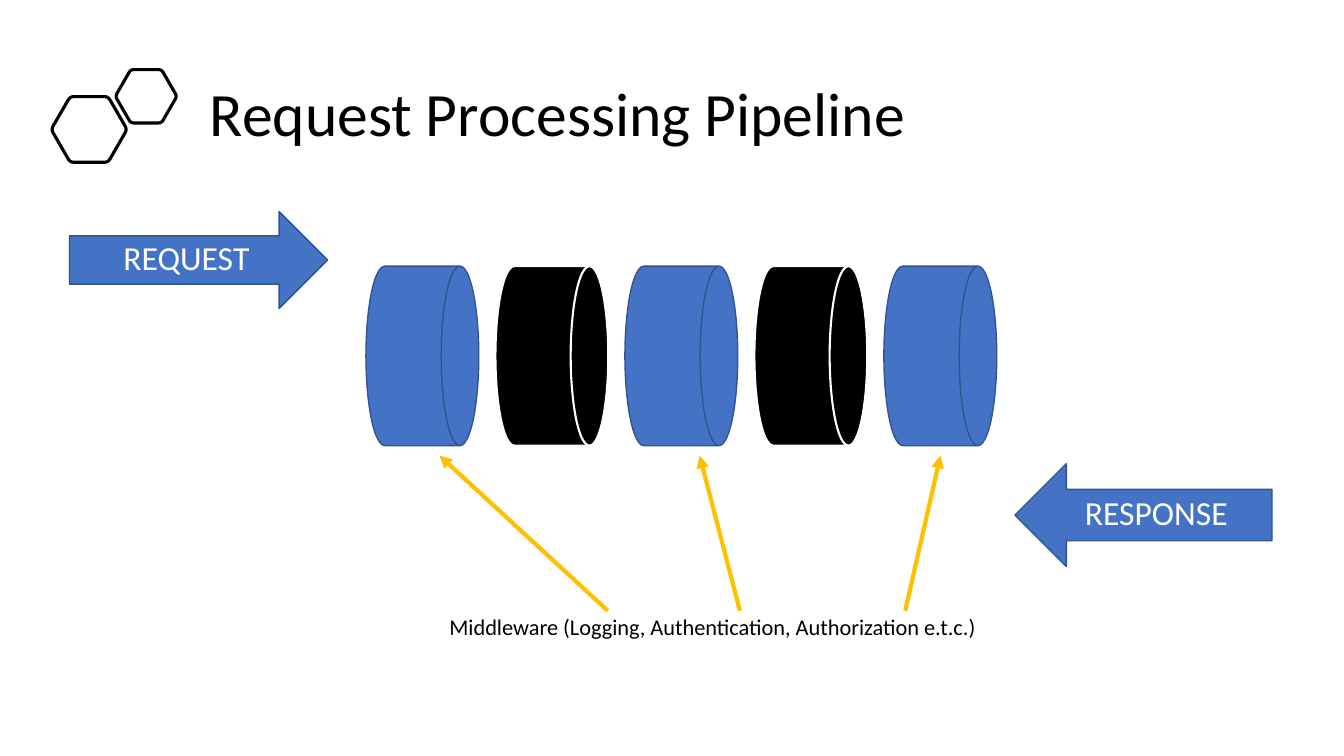
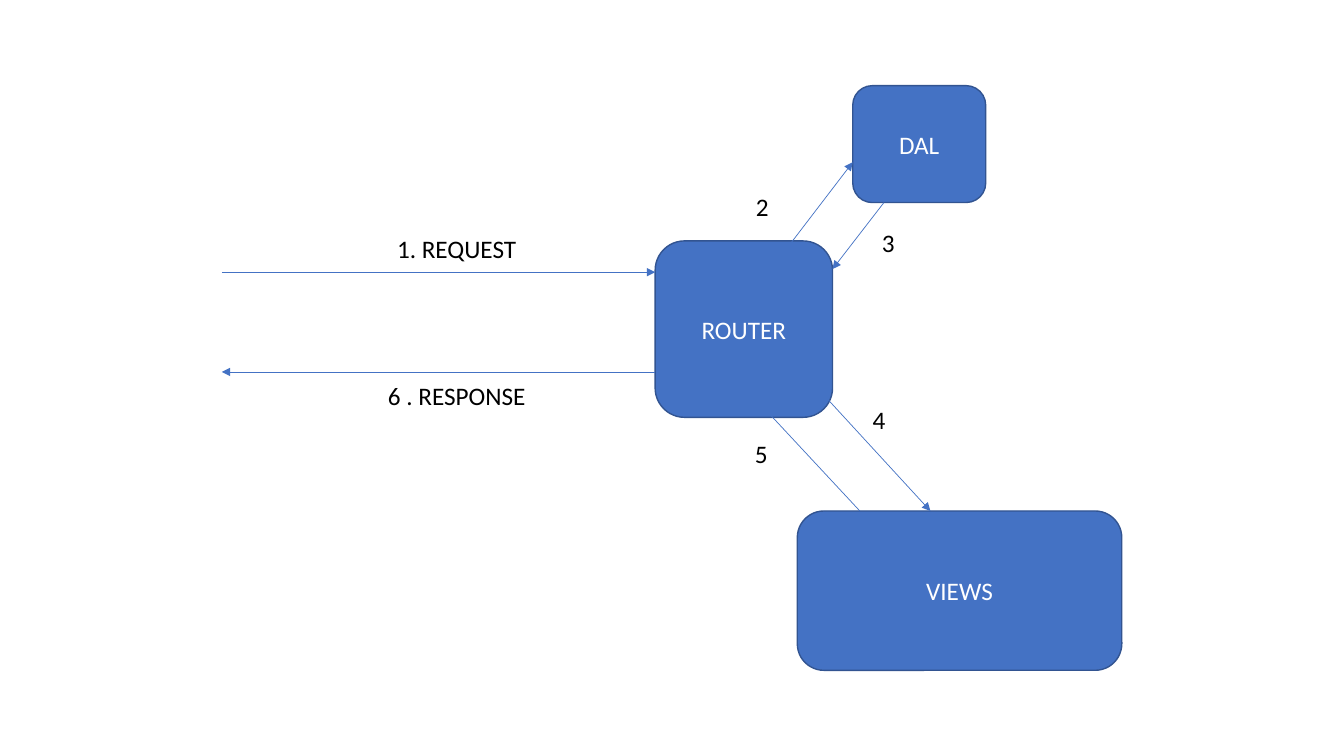
from math import cos, pi, sin

from lxml.etree import SubElement
from pptx import Presentation
from pptx.dml.color import RGBColor
from pptx.enum.shapes import MSO_CONNECTOR as Connector
from pptx.enum.shapes import MSO_SHAPE as Shape
from pptx.enum.text import MSO_ANCHOR as Anchor
from pptx.enum.text import MSO_AUTO_SIZE as AutoSize
from pptx.enum.text import PP_ALIGN as Align
from pptx.oxml.ns import qn
from pptx.util import Pt

COLORS = {
    "blue": "4472C4",
    "blue_edge": "325491",
    "gold": "FFC000",
    "black": "000000",
    "white": "FFFFFF",
}
FONT = "Calibri"
TITLE_ONLY, BLANK = 5, 6
TIGHT = {"line_spacing": 0.9, "space_after": 6}


def color(name):
    return RGBColor.from_string(COLORS[name])


def points(*lengths):
    return [Pt(length) for length in lengths]


def write_text(shape, text, size=18, ink="black", align=Align.LEFT,
               anchor=Anchor.TOP, wrap=True, line_spacing=None, space_after=None):
    frame = shape.text_frame
    frame.word_wrap = wrap
    frame.vertical_anchor = anchor
    paragraph = frame.paragraphs[0]
    paragraph.alignment = align
    paragraph.line_spacing = line_spacing
    if space_after is not None:
        paragraph.space_after = Pt(space_after)
    run = paragraph.add_run()
    run.text = text
    run.font.name = FONT
    run.font.size = Pt(size)
    run.font.color.rgb = color(ink)


def set_outline(line, ink, weight):
    line.color.rgb = color(ink)
    line.width = Pt(weight)


def add_block(slide, kind, box, text=None, fill="blue", edge="blue_edge",
              weight=1, **text_format):
    block = slide.shapes.add_shape(kind, *points(*box))
    block.shadow.inherit = False
    block.fill.solid()
    block.fill.fore_color.rgb = color(fill)
    set_outline(block.line, edge, weight)
    if text:
        write_text(block, text, ink="white", align=Align.CENTER,
                   anchor=Anchor.MIDDLE, **text_format)


def add_label(slide, text, box, **text_format):
    label = slide.shapes.add_textbox(*points(*box))
    write_text(label, text, wrap=False, **text_format)
    label.text_frame.auto_size = AutoSize.SHAPE_TO_FIT_TEXT


def add_arrow(slide, start, end, ink="blue", weight=0.5):
    arrow = slide.shapes.add_connector(Connector.STRAIGHT, *points(*start, *end))
    set_outline(arrow.line, ink, weight)
    SubElement(arrow.line._get_or_add_ln(), qn("a:tailEnd"), type="triangle")
    SubElement(arrow._element.spPr, qn("a:effectLst"))


def add_title(slide, text):
    title = slide.shapes.title
    title.left, title.top, title.width, title.height = points(142.6, 41, 778.3, 84.2)
    write_text(title, text, size=44, anchor=Anchor.MIDDLE, line_spacing=0.9)


def add_hexagon(slide, center_x, center_y, radius, rounding=0.1, steps=4):
    """Outline a regular hexagon whose corners are quadratic curves."""
    corners = [(center_x + radius * cos(k * pi / 3), center_y + radius * sin(k * pi / 3))
               for k in range(6)]
    outline = []
    for k, corner in enumerate(corners):
        before, after = corners[k - 1], corners[(k + 1) % 6]
        for step in range(steps + 1):
            t = step / steps
            pull_before, pull_after = rounding * (1 - t) ** 2, rounding * t ** 2
            outline.append(points(*(
                c + pull_before * (b - c) + pull_after * (a - c)
                for b, c, a in zip(before, corner, after))))
    builder = slide.shapes.build_freeform(*outline[0])
    builder.add_line_segments(outline[1:], close=True)
    hexagon = builder.convert_to_shape()
    hexagon.shadow.inherit = False
    hexagon.fill.background()
    set_outline(hexagon.line, "black", 2.25)


def build_pipeline(slide):
    add_title(slide, "Request Processing Pipeline")
    add_hexagon(slide, 63.7, 92.5, 27.1)
    add_hexagon(slide, 104.4, 68.8, 22)

    add_block(slide, Shape.RIGHT_ARROW, (49.7, 151.2, 184.3, 69.1), "REQUEST",
              size=24, **TIGHT)
    middleware = {"fill": "blue", "edge": "blue_edge", "weight": 1}
    separator = {"fill": "black", "edge": "white", "weight": 1.5}
    for i in range(5):
        add_block(slide, Shape.FLOWCHART_DIRECT_ACCESS_STORAGE,
                  (261.4 + i * 92.5, 190.1, 80.6, 128.2),
                  **(separator if i % 2 else middleware))

    add_label(slide, "Middleware (Logging, Authentication, Authorization e.t.c.)",
              (313.9, 436.3, 429.1, 28.1), size=16, **TIGHT)
    for caption_x, drum_x in ((434.2, 313.9), (528.5, 499.7), (646.6, 671.8)):
        add_arrow(slide, (caption_x, 436.3), (drum_x, 325.4), ink="gold", weight=3)
    add_block(slide, Shape.LEFT_ARROW, (725, 331.2, 183.6, 73.4), "RESPONSE",
              size=24, **TIGHT)


def build_routing(slide):
    components = {
        "ROUTER": (468, 172.1, 126.7, 126),
        "DAL": (609.1, 61.2, 95, 83.5),
        "VIEWS": (569.5, 365, 231.8, 113.8),
    }
    for name, box in components.items():
        add_block(slide, Shape.ROUNDED_RECTANGLE, box, name)

    steps = [
        ("1. REQUEST", (276.5, 163.4), 100.1, (158.4, 194.4), (468, 194.4)),
        ("2", (532.8, 133.2), 23.8, (555.1, 186.5), (609.1, 115.9)),
        ("3", (622.8, 159.1), 23.8, (631.4, 144.7), (594.7, 192.2)),
        ("4", (616.3, 285.1), 23.8, (583.9, 277.2), (664.6, 365)),
        ("5", (532.1, 309.6), 23.8, (614.2, 365), (537.8, 283)),
        ("6 . RESPONSE", (270, 267.8), 113.8, (468, 265.7), (158.4, 265.7)),
    ]
    for text, corner, width, start, end in steps:
        add_arrow(slide, start, end)
        add_label(slide, text, (*corner, width, 28.8))


def main():
    deck = Presentation()
    deck.slide_width, deck.slide_height = points(960, 540)
    for layout, build in ((TITLE_ONLY, build_pipeline), (BLANK, build_routing)):
        build(deck.slides.add_slide(deck.slide_layouts[layout]))
    deck.save("out.pptx")


if __name__ == "__main__":
    main()
